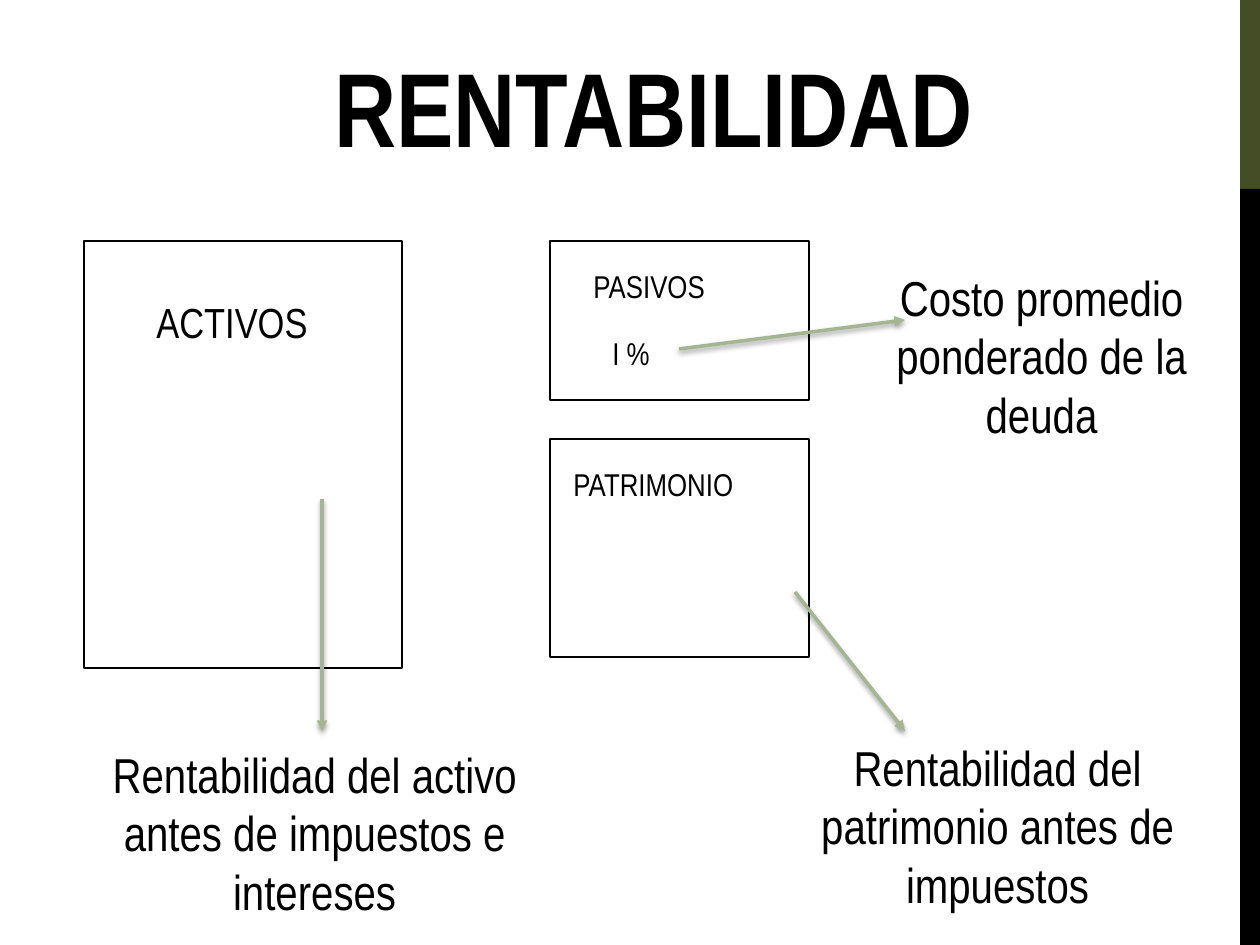
from lxml.etree import SubElement
from pptx import Presentation
from pptx.dml.color import RGBColor
from pptx.enum.shapes import MSO_CONNECTOR, MSO_SHAPE
from pptx.enum.text import MSO_ANCHOR, PP_ALIGN
from pptx.oxml import parse_xml
from pptx.oxml.ns import nsdecls, qn
from pptx.util import Emu, Pt

COLORS = {"black": "000000", "olive": "444D26", "sage": "A5B592"}
EMU_PER_PX = 914400 / 126


def px(*lengths):
    return [Emu(round(length * EMU_PER_PX)) for length in lengths]


def color(name):
    return RGBColor.from_string(COLORS[name])


presentation = Presentation()
presentation.slide_width, presentation.slide_height = px(1260, 945)
slide = presentation.slides.add_slide(presentation.slide_layouts[6])

# Side band and balance sheet boxes: left, top, width, height, fill
rectangles = [
    (1240, 0, 20, 189, "olive"),
    (1240, 189, 20, 756, "black"),
    (84, 241, 318, 427, None),
    (550, 241, 259, 159, None),
    (550, 439, 259, 218, None),
]
for *bounds, fill in rectangles:
    shape = slide.shapes.add_shape(MSO_SHAPE.RECTANGLE, *px(*bounds))
    shape.shadow.inherit = False
    if fill:
        shape.fill.solid()
        shape.fill.fore_color.rgb = color(fill)
        shape.line.fill.background()
    else:
        shape.fill.background()
        shape.line.color.rgb = color("black")
        shape.line.width = Pt(0.75)

# Texts: wording, left, top, width, height, format
label = {"size": Pt(18), "bold": False}
heading = {"size": Pt(24), "bold": False}
remark = {"size": Pt(28), "bold": False}
title = {"size": Pt(60), "bold": True}
texts = [
    ("ACTIVOS", 144, 290, 258, 63, heading),
    ("PASIVOS", 581, 261, 139, 50, label),
    ("PATRIMONIO", 561, 459, 258, 50, label),
    ("I %", 600, 328, 79, 50, label),
    ("Rentabilidad del activo antes de impuestos e intereses", 84, 738, 461, 190, remark),
    ("Costo promedio ponderado de la deuda", 858, 261, 367, 190, remark),
    ("Rentabilidad del patrimonio antes de impuestos", 789, 731, 417, 190, remark),
    ("RENTABILIDAD", 113, 26, 1082, 158, title),
]
for wording, *bounds, font_format in texts:
    text_frame = slide.shapes.add_textbox(*px(*bounds)).text_frame
    text_frame.word_wrap = True
    text_frame.vertical_anchor = MSO_ANCHOR.MIDDLE if font_format is title else MSO_ANCHOR.TOP
    paragraph = text_frame.paragraphs[0]
    paragraph.text = wording
    paragraph.alignment = PP_ALIGN.CENTER if font_format in (remark, title) else PP_ALIGN.LEFT
    paragraph.font.name = "Arial Narrow"
    paragraph.font.color.rgb = color("black")
    for attribute, value in font_format.items():
        setattr(paragraph.font, attribute, value)

# Arrows with a soft shadow: from x, y, to x, y
arrows = [(322, 499, 322, 731), (679, 349, 905, 320), (795, 592, 905, 731)]
for ends in arrows:
    connector = slide.shapes.add_connector(MSO_CONNECTOR.STRAIGHT, *px(*ends))
    connector.line.color.rgb = color("sage")
    connector.line.width = Pt(2)
    SubElement(connector.line._get_or_add_ln(), qn("a:tailEnd"), type="triangle")
    connector._element.spPr.append(parse_xml(
        f'<a:effectLst {nsdecls("a")}>'
        f'<a:outerShdw blurRad="{Pt(3.1)}" dist="{Pt(1.6)}" dir="5400000" rotWithShape="0">'
        f'<a:srgbClr val="{COLORS["black"]}"><a:alpha val="38000"/></a:srgbClr>'
        '</a:outerShdw></a:effectLst>'))

presentation.save("out.pptx")
